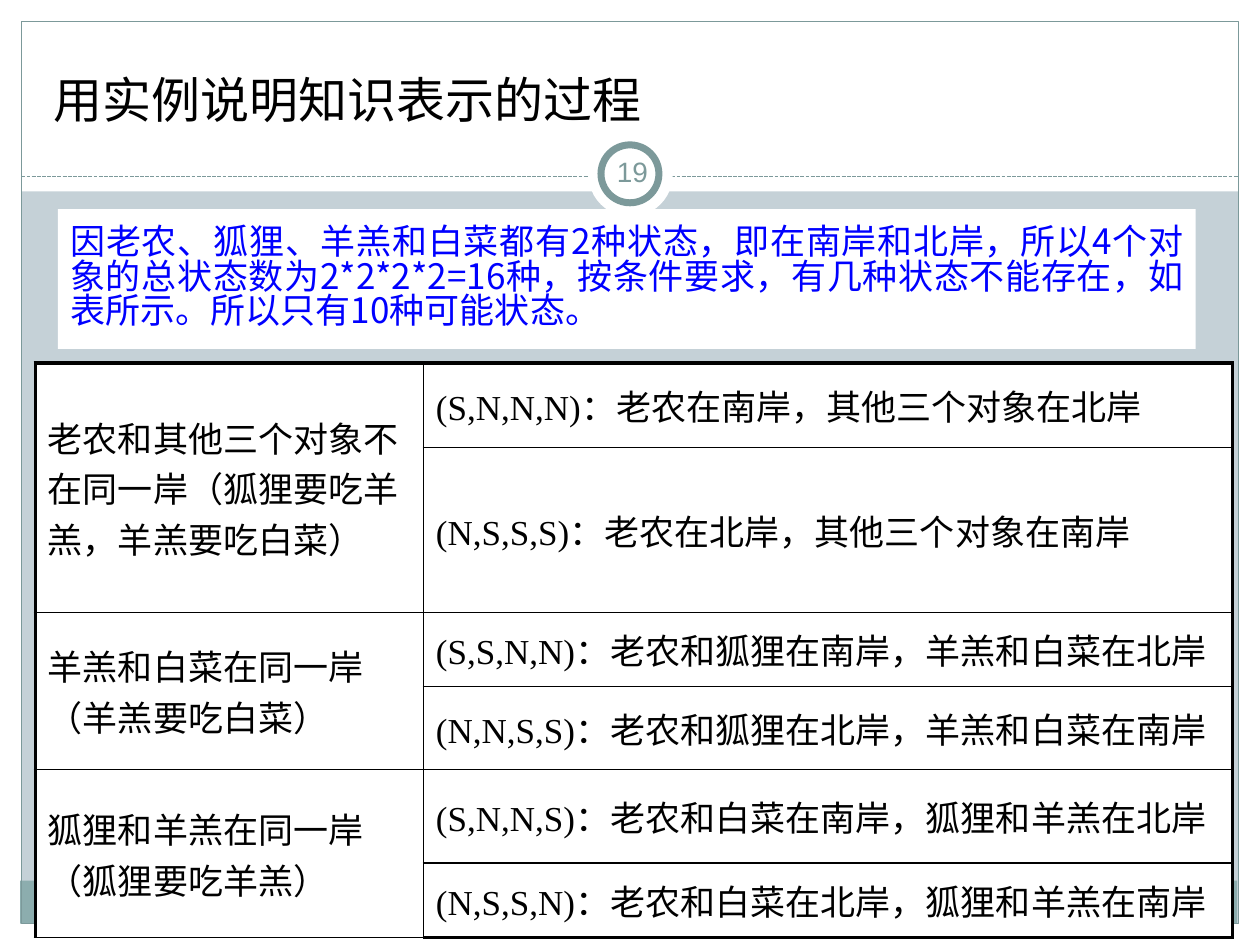
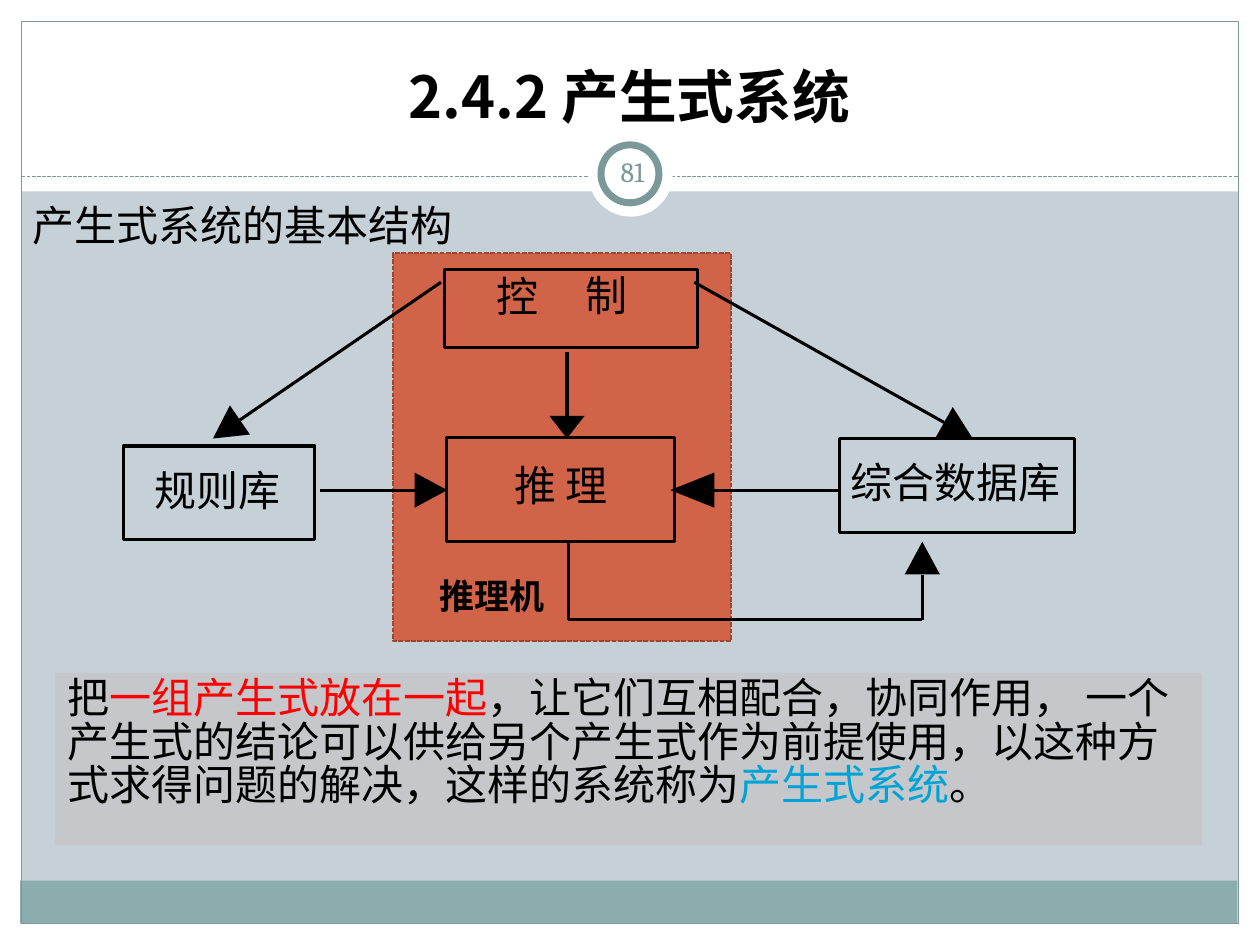
import math

from lxml import etree
from pptx import Presentation
from pptx.dml.color import RGBColor
from pptx.enum.dml import MSO_LINE
from pptx.enum.shapes import MSO_CONNECTOR, MSO_SHAPE
from pptx.enum.text import MSO_ANCHOR, PP_ALIGN
from pptx.oxml.ns import qn
from pptx.util import Inches, Pt

RECT, OVAL = MSO_SHAPE.RECTANGLE, MSO_SHAPE.OVAL
STRAIGHT = MSO_CONNECTOR.STRAIGHT
DASH = MSO_LINE.SQUARE_DOT
TOP, MIDDLE, BOTTOM = MSO_ANCHOR.TOP, MSO_ANCHOR.MIDDLE, MSO_ANCHOR.BOTTOM
LEFT, CENTER, JUSTIFY = PP_ALIGN.LEFT, PP_ALIGN.CENTER, PP_ALIGN.JUSTIFY

COLORS = {
    "background": "C5D1D7", "white": "FFFFFF", "black": "000000",
    "frame": "7C999A", "footer": "8CADAE", "engine": "D16349",
    "engine_edge": "9B4936", "blue": "0000FF", "red": "FF0000", "term": "00A3D6",
}
SANS, SANS_JP, SERIF = "Noto Sans CJK SC", "Noto Sans CJK JP", "Times New Roman"

FORBIDDEN_STATES = [
    ("老农和其他三个对象不在同一岸（狐狸要吃羊羔，羊羔要吃白菜）",
     [("(S,N,N,N)", "：老农在南岸，其他三个对象在北岸"),
      ("(N,S,S,S)", "：老农在北岸，其他三个对象在南岸")]),
    ("羊羔和白菜在同一岸（羊羔要吃白菜）",
     [("(S,S,N,N)", "：老农和狐狸在南岸，羊羔和白菜在北岸"),
      ("(N,N,S,S)", "：老农和狐狸在北岸，羊羔和白菜在南岸")]),
    ("狐狸和羊羔在同一岸（狐狸要吃羊羔）",
     [("(S,N,N,S)", "：老农和白菜在南岸，狐狸和羊羔在北岸"),
      ("(N,S,S,N)", "：老农和白菜在北岸，狐狸和羊羔在南岸")]),
]


def rgb(name):
    return RGBColor.from_string(COLORS[name])


def add_runs(paragraph, pieces, size, bold=False):
    """Add (text, colour, font) pieces as runs."""
    for text, color, font in pieces:
        run = paragraph.add_run()
        run.text = text
        run.font.size, run.font.bold, run.font.name = Pt(size), bold, font
        run.font.color.rgb = rgb(color)
        east_asian = etree.SubElement(run._r.get_or_add_rPr(), qn("a:ea"))
        east_asian.set("typeface", font if "CJK" in font else SANS)


def write(shape, pieces, size, align=LEFT, anchor=MIDDLE, wrap=True,
          inset=None, bold=False, spacing=None):
    frame = shape.text_frame
    frame.word_wrap, frame.vertical_anchor = wrap, anchor
    if inset is not None:
        frame.margin_left = frame.margin_right = Inches(inset)
        frame.margin_top = frame.margin_bottom = Inches(inset)
    paragraph = frame.paragraphs[0]
    paragraph.alignment = align
    if spacing:
        paragraph.line_spacing = spacing
    add_runs(paragraph, pieces, size, bold)


def add_text(slide, box, text, size, color="black", font=SANS, **options):
    textbox = slide.shapes.add_textbox(*map(Inches, box))
    write(textbox, [(text, color, font)], size, **options)


def style_line(line, color, width, dash=None):
    line.color.rgb, line.width = rgb(color), Pt(width)
    if dash:
        line.dash_style = dash


def add_box(slide, box, fill=None, edge=None, width=1.75, dash=None, kind=RECT):
    shape = slide.shapes.add_shape(kind, *map(Inches, box))
    shape.shadow.inherit = False
    if fill:
        shape.fill.solid()
        shape.fill.fore_color.rgb = rgb(fill)
    else:
        shape.fill.background()
    if edge:
        style_line(shape.line, edge, width, dash)
    else:
        shape.line.fill.background()
    return shape


def add_line(slide, start, end, color="black", width=1.75, dash=None):
    line = slide.shapes.add_connector(STRAIGHT, *map(Inches, (*start, *end)))
    style_line(line.line, color, width, dash)
    etree.SubElement(line._element.spPr, qn("a:effectLst"))


def add_arrow(slide, start, tip, length=0.26, half_width=0.14):
    """Draw a line that ends in a large solid head at tip."""
    angle = math.atan2(tip[1] - start[1], tip[0] - start[0])
    along, across = math.cos(angle), math.sin(angle)
    base = (tip[0] - length * along, tip[1] - length * across)
    add_line(slide, start, base)
    corners = [(base[0] + side * across, base[1] - side * along)
               for side in (half_width, -half_width)]
    tip_point, *base_points = [(Inches(x), Inches(y)) for x, y in (tip, *corners)]
    builder = slide.shapes.build_freeform(*tip_point)
    builder.add_line_segments(base_points, close=True)
    head = builder.convert_to_shape()
    head.shadow.inherit = False
    head.fill.solid()
    head.fill.fore_color.rgb = rgb("black")
    head.line.fill.background()


def add_framed_slide(prs, number, number_font):
    """Add a slide with the shared margins, frame, rule and number badge."""
    slide = prs.slides.add_slide(prs.slide_layouts[6])
    slide.background.fill.solid()
    slide.background.fill.fore_color.rgb = rgb("background")
    for margin in [(0, 7.33, 10, 0.17), (0, 0, 10, 1.52),
                   (0, 0, 0.17, 7.5), (9.83, 0, 0.17, 7.5)]:
        add_box(slide, margin, "white")
    add_box(slide, (0.16, 6.99, 9.66, 0.34), "footer")
    add_box(slide, (0.17, 0.17, 9.66, 7.16), edge="frame", width=0.75)
    add_line(slide, (0.17, 1.4), (9.83, 1.4), "frame", 0.75, DASH)
    add_box(slide, (4.67, 1.05, 0.67, 0.67), "white", kind=OVAL)
    add_box(slide, (4.77, 1.15, 0.46, 0.46), "white", "frame", 4, kind=OVAL)
    add_text(slide, (4.77, 1.12, 0.5, 0.48), number, 16, "frame", number_font,
             align=CENTER, inset=0.05)
    return slide


def set_borders(cell, widths):
    """Set the left, right, top and bottom border widths in points."""
    properties = cell._tc.get_or_add_tcPr()
    for index, (side, width) in enumerate(zip("LRTB", widths)):
        border = etree.Element(qn(f"a:ln{side}"), w=str(Pt(width)))
        fill = etree.SubElement(border, qn("a:solidFill"))
        etree.SubElement(fill, qn("a:srgbClr"), val=COLORS["black"])
        properties.insert(index, border)


def add_state_table(slide, left, top):
    widths, heights = [3.08, 6.42], [0.67, 1.31, 0.59, 0.66, 0.74, 0.59]
    table = slide.shapes.add_table(
        len(heights), len(widths), Inches(left), Inches(top),
        Inches(sum(widths)), Inches(sum(heights))).table
    table.first_row = table.horz_banding = False
    for column, width in zip(table.columns, widths):
        column.width = Inches(width)
    for row, height in zip(table.rows, heights):
        row.height = Inches(height)

    last = len(heights) - 1
    for row in range(len(heights)):
        for column in range(len(widths)):
            cell = table.cell(row, column)
            cell.vertical_anchor = MIDDLE
            cell.fill.solid()
            cell.fill.fore_color.rgb = rgb("white")
            outer = (column == 0, column == 1, row == 0, row == last)
            set_borders(cell, [2.25 if edge else 1 for edge in outer])

    for group, (reason, states) in enumerate(FORBIDDEN_STATES):
        first = group * 2
        table.cell(first, 0).merge(table.cell(first + 1, 0))
        add_runs(table.cell(first, 0).text_frame.paragraphs[0],
                 [(reason, "black", SANS)], 20)
        for row, (state, meaning) in enumerate(states, first):
            add_runs(table.cell(row, 1).text_frame.paragraphs[0],
                     [(state, "black", SERIF), (meaning, "black", SANS)], 20)


def build_states_slide(prs):
    slide = add_framed_slide(prs, "19", "Arial")
    add_state_table(slide, 0.28, 2.88)
    summary = add_box(slide, (0.46, 1.66, 9.03, 1.11), "white")
    write(summary, [(
        "因老农、狐狸、羊羔和白菜都有2种状态，即在南岸和北岸，所以4个对象的总状态数为"
        "2*2*2*2=16种，按条件要求，有几种状态不能存在，如表所示。所以只有10种可能状态。",
        "blue", SANS)], 20, align=JUSTIFY, spacing=0.82)
    add_text(slide, (0.33, 0.5, 4.91, 0.57), "用实例说明知识表示的过程", 28,
             font=SERIF, wrap=False)


def add_system_diagram(slide, left, top):
    """Draw the production system, with all places relative to left and top."""
    def at(x, y, *size):
        return (left + x, top + y, *size)

    add_box(slide, at(2.14, 0, 2.68, 3.08), "engine", "engine_edge", 0.9, DASH)
    for node in [(2.55, 0.13, 2.01, 0.62), (0, 1.53, 1.52, 0.74),
                 (2.56, 1.46, 1.81, 0.83), (5.68, 1.47, 1.87, 0.75)]:
        add_box(slide, at(*node), edge="black")
    for text, label in [("控", (2.96, 0.14, 0.34, 0.4)),
                        ("制", (3.67, 0.13, 0.34, 0.4)),
                        ("规则库", (0.25, 1.68, 1.01, 0.4)),
                        ("推 理", (3.1, 1.64, 0.84, 0.4)),
                        ("综合数据库", (5.77, 1.61, 1.68, 0.4))]:
        add_text(slide, at(*label), text, 24, inset=0, wrap=False)
    add_text(slide, at(2.41, 2.5, 1.05, 0.44), "推理机", 20, font="Arial",
             bold=True, wrap=False)

    add_arrow(slide, at(3.52, 0.78), at(3.52, 1.47), length=0.18)
    for start, tip in [((2.52, 0.23), (0.71, 1.47)), ((4.53, 0.23), (6.74, 1.47)),
                       ((1.56, 1.88), (2.57, 1.88)), ((6.34, 2.91), (6.34, 2.29))]:
        add_arrow(slide, at(*start), at(*tip))
    add_arrow(slide, at(5.68, 1.88), at(4.34, 1.88), length=0.35)
    add_line(slide, at(3.53, 2.29), at(3.53, 2.91))
    add_line(slide, at(3.53, 2.91), at(6.34, 2.91))


def build_system_slide(prs):
    slide = add_framed_slide(prs, "81", "Cambria")
    add_text(slide, (0.33, 0.25, 9.33, 0.83), "2.4.2 产生式系统", 33,
             align=CENTER, anchor=BOTTOM, bold=True)
    add_text(slide, (0.26, 1.58, 3.37, 0.4), "产生式系统的基本结构", 24,
             inset=0, wrap=False)
    add_system_diagram(slide, 0.98, 2.01)
    definition = add_box(slide, (0.44, 5.34, 9.1, 1.37), "engine")
    tint = definition._element.spPr.find(qn("a:solidFill"))[0]
    etree.SubElement(tint, qn("a:alpha"), val="9000")
    write(definition, [
        ("把", "black", SANS_JP),
        ("一组产生式放在一起", "red", SANS_JP),
        ("，让它们互相配合，协同作用， 一个产生式的结论可以供给另个产生式作为前提使用，"
         "以这种方式求得问题的解决，这样的系统称为", "black", SANS_JP),
        ("产生式系统", "term", SANS_JP),
        ("。", "black", SANS),
    ], 24, anchor=TOP, spacing=0.86)


def main():
    prs = Presentation()
    prs.slide_width, prs.slide_height = Inches(10), Inches(7.5)
    build_states_slide(prs)
    build_system_slide(prs)
    prs.save("out.pptx")


if __name__ == "__main__":
    main()
